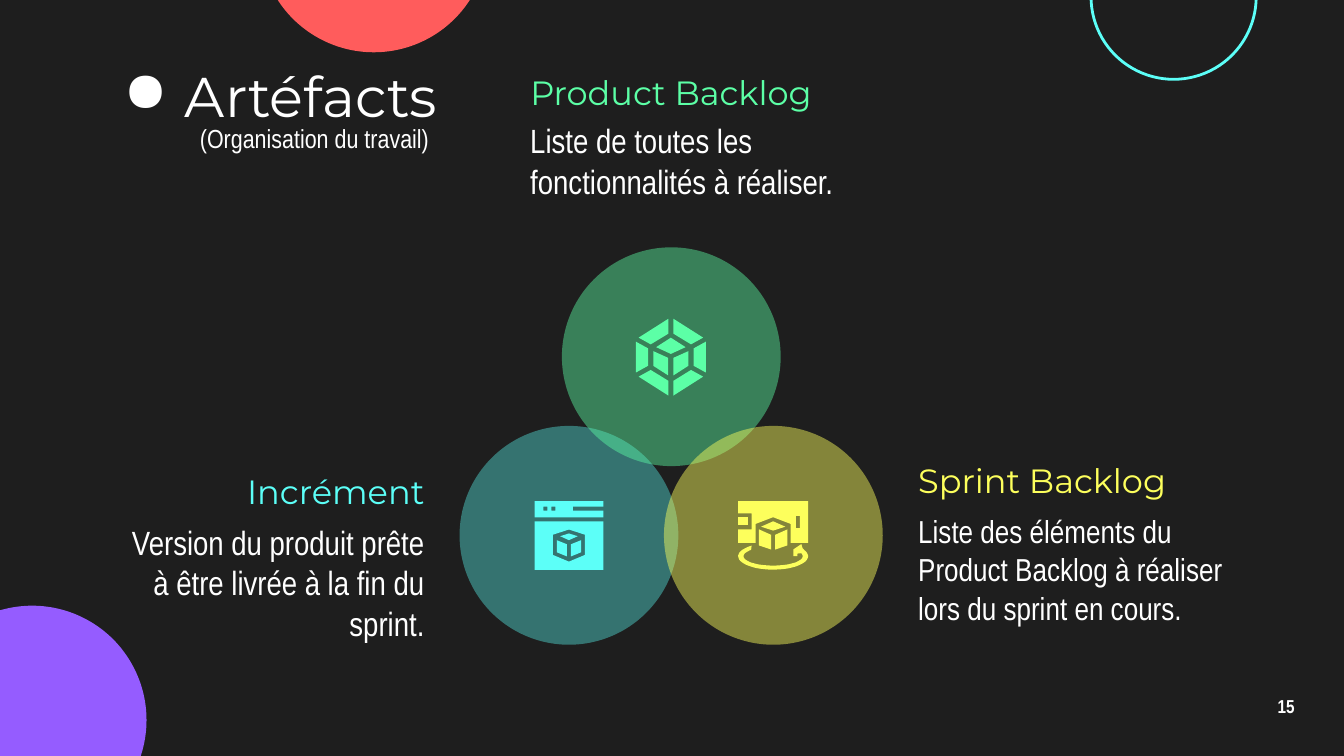
from math import cos, radians, sin

from lxml import etree
from pptx import Presentation
from pptx.dml.color import RGBColor
from pptx.enum import shapes as kinds, text as txt
from pptx.oxml.ns import qn
from pptx.util import Pt

DARK = RGBColor(0x1E, 0x1E, 0x1E)
WHITE = RGBColor(0xFF, 0xFF, 0xFF)
PURPLE = RGBColor(0x95, 0x5C, 0xFF)
RED = RGBColor(0xFF, 0x5C, 0x5C)
CYAN = RGBColor(0x5C, 0xFF, 0xF8)
GREEN = RGBColor(0x5C, 0xFF, 0xA6)
YELLOW = RGBColor(0xFD, 0xFF, 0x5C)

HEAD, BODY = "Montserrat", "Arial Narrow"
LEFT, MID, RIGHT = txt.PP_ALIGN.LEFT, txt.PP_ALIGN.CENTER, txt.PP_ALIGN.RIGHT
GRID = 7.2  # one icon unit, in tenths of a point

deck = Presentation()
deck.slide_width, deck.slide_height = Pt(720), Pt(405)
slide = deck.slides.add_slide(deck.slide_layouts[6])
slide.background.fill.solid()
slide.background.fill.fore_color.rgb = DARK


def write(words, x, y, w, h, size, face, color, align=LEFT):
    box = slide.shapes.add_textbox(Pt(x), Pt(y), Pt(w), Pt(h))
    frame = box.text_frame
    frame.word_wrap = True
    frame.vertical_anchor = txt.MSO_ANCHOR.MIDDLE
    frame.margin_left = frame.margin_right = Pt(7.2)
    frame.margin_top = frame.margin_bottom = Pt(7.2)
    para = frame.paragraphs[0]
    para.text = words
    para.alignment = align
    para.font.size, para.font.name = Pt(size), face
    para.font.color.rgb = color
    return para


def draw(x, y, color, *loops):
    """Fill closed loops of icon units around (x, y) in points; inner loops are holes."""
    spots = [[(x * 10 + a * GRID, y * 10 + b * GRID) for a, b in loop] for loop in loops]
    pen = slide.shapes.build_freeform(*spots[0][0], scale=Pt(0.1))
    for i, loop in enumerate(spots):
        if i:
            pen.move_to(*loop[0])
        pen.add_line_segments(loop[1:], close=True)
    part = pen.convert_to_shape()
    part.shadow.inherit = False
    part.fill.solid()
    part.fill.fore_color.rgb = color
    part.line.fill.background()
    return part


# Circles: left, top, diameter, fill, opacity in percent
for x, y, d, color, alpha in [
    (-44, 324.5, 122.5, PURPLE, 100),
    (584.5, -46, 88.5, None, 100),
    (139, -94.5, 122.5, RED, 100),
    (246.2, 228.2, 117.2, CYAN, 38),
    (301, 132.5, 117.2, GREEN, 44),
    (355.7, 228.2, 117.2, YELLOW, 46),
]:
    disc = slide.shapes.add_shape(kinds.MSO_SHAPE.OVAL, Pt(x), Pt(y), Pt(d), Pt(d))
    disc.shadow.inherit = False
    if color is None:
        disc.fill.background()
        disc.line.color.rgb = CYAN
        disc.line.width = Pt(1.5)
        continue
    disc.fill.solid()
    disc.fill.fore_color.rgb = color
    disc.line.fill.background()
    if alpha < 100:
        tint = disc._element.spPr.find(qn("a:solidFill"))[0]
        etree.SubElement(tint, qn("a:alpha")).set("val", str(alpha * 1000))

# Texts
page = write("15", 667.5, 367, 43, 24.5, 10, BODY, WHITE, MID)
page.font.bold = True
page.line_spacing = 0.8

title = write("Artéfacts", 56, 33, 206.5, 36.5, 30, HEAD, WHITE)
props = title._p.get_or_add_pPr()
props.set("marL", str(Pt(36)))
props.set("indent", str(Pt(-33)))
dot = etree.Element(qn("a:buChar"), char="●")
props.insert(0, dot)
tone = etree.Element(qn("a:buClr"))
etree.SubElement(tone, qn("a:srgbClr")).set("val", str(WHITE))
props.insert(0, tone)
write("(Organisation du travail)", 100, 55.5, 146, 36.5, 14, BODY, WHITE)

write("Incrément", 62, 238.5, 172.5, 49, 18, HEAD, CYAN, RIGHT)
write("Version du produit prête à être livrée à la fin du sprint.",
      62, 273.5, 172.5, 77, 18, BODY, WHITE, RIGHT)
write("Sprint Backlog", 484.8, 245, 173, 24.5, 18, HEAD, YELLOW)
write("Liste des éléments du Product Backlog à réaliser lors du sprint en cours.",
      484.8, 264.5, 190, 81, 17, BODY, WHITE)
write("Product Backlog", 277, 37, 226, 24.5, 18, HEAD, GREEN)
write("Liste de toutes les fonctionnalités à réaliser.",
      277, 61.5, 201.5, 49, 18, BODY, WHITE)

# Gem icon: a lid, and four facets mirrored left and right
x, y = 359.4, 191
facets = [
    [(2, -28), (2, -17), (15, -9), (24, -14)],
    [(13, -4), (2, 1), (2, 14), (13, 7)],
    [(26, -11), (17, -6), (17, 7), (26, 12)],
    [(15, 10), (2, 18), (2, 29), (24, 15)],
]
gem = [draw(x, y, GREEN, [(0, -14), (-11, -7), (0, -2), (11, -7)])]
for facet in facets:
    for side in (1, -1):
        gem.append(draw(x, y, GREEN, [(side * a, b) for a, b in facet]))
slide.shapes.add_group_shape(gem)

# Box icon: frame, cube and turning arrow
x, y = 414.2, 298
frame = [(-26, -41), (-26, -32), (-16, -32), (-16, -20), (-26, -20), (-26, -10),
         (-13, -10), (-13, -24), (0, -29), (13, -24), (13, -10), (26, -10), (26, -41)]
slot = [(20, -30), (20, -21), (17, -21), (17, -30)]
outer = [(26 * cos(radians(t)), 10 * sin(radians(t))) for t in range(-128, -391, -6)]
inner = [(22 * cos(radians(t)), 7 * sin(radians(t))) for t in range(-378, -132, 6)]
tip = [(22, -6), (21, -9), (15, -5), (15, 0), (18, 0), (18, -2)]
turn = [
    draw(x, y, YELLOW, frame, slot),
    draw(x, y, YELLOW, [(-26, -29), (-26, -23), (-19, -23), (-19, -29)]),
    draw(x, y, YELLOW, outer + tip + inner),
    draw(x, y, YELLOW, [(0, -26), (-9, -22), (0, -19), (9, -22)]),
]
for side in (1, -1):
    face = [(10.5, -20), (1.5, -16), (1.5, -5), (10.5, -8)]
    turn.append(draw(x, y, YELLOW, [(side * a, b) for a, b in face]))
slide.shapes.add_group_shape(turn)

# Window icon: title bar, pane and cube
x, y = 304.8, 292.3
eyes = [[(a, -29), (a, -26), (a - 3, -26), (a - 3, -29)] for a in (-16, -10)]
bar = [(-25.5, -33), (-25.5, -21), (25.5, -21), (25.5, -26),
       (3, -26), (3, -29), (25.5, -29), (25.5, -33)]
pane = [(-25.5, -18), (-25.5, 18), (25.5, 18), (25.5, -18)]
hole = [(0, -12), (12, -8), (12, 7), (0, 12), (-12, 7), (-12, -8)]
window = [
    draw(x, y, CYAN, bar, *eyes),
    draw(x, y, CYAN, pane, hole),
    draw(x, y, CYAN, [(0, -9), (-6.5, -7), (0, -4), (6.5, -7)]),
]
for side in (1, -1):
    face = [(9, -4), (1.5, -1), (1.5, 8), (9, 5)]
    window.append(draw(x, y, CYAN, [(side * a, b) for a, b in face]))
slide.shapes.add_group_shape(window)

deck.save("out.pptx")
